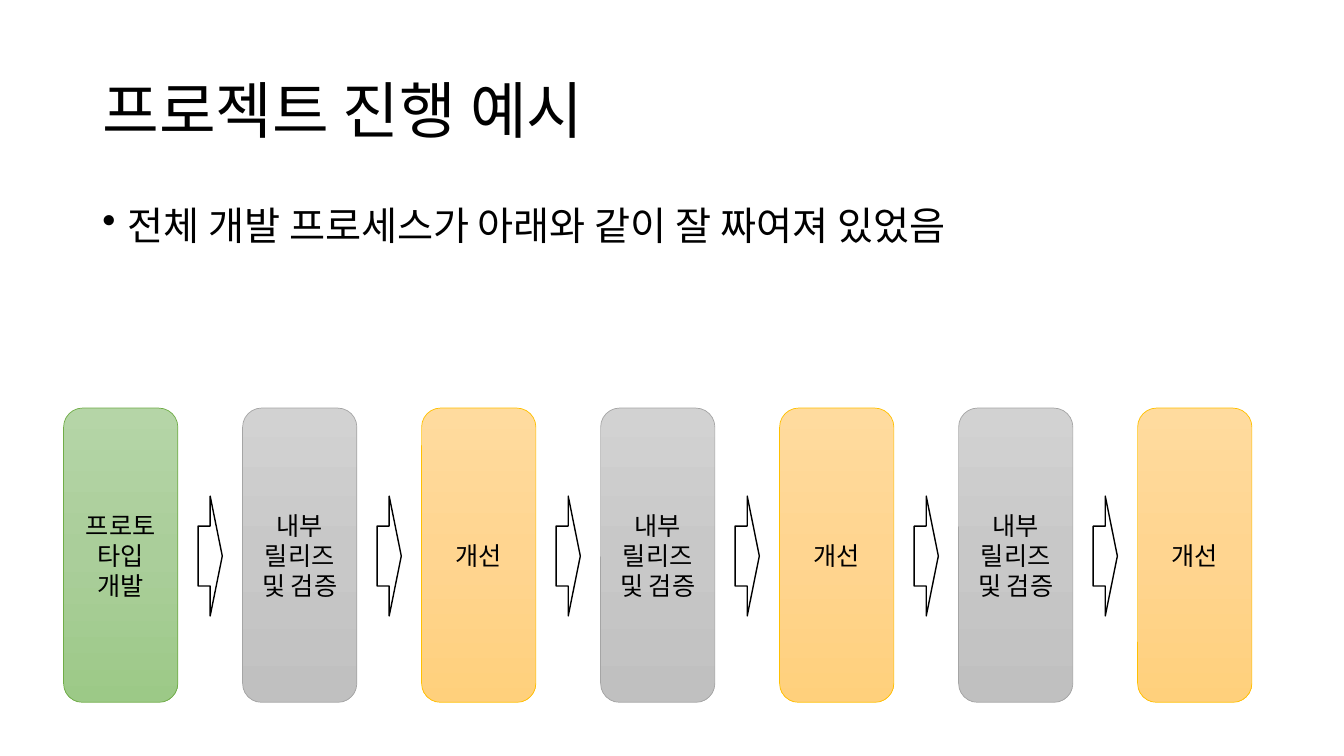
from copy import deepcopy
from dataclasses import dataclass

from lxml import etree
from pptx import Presentation
from pptx.dml.color import RGBColor
from pptx.enum import shapes, text
from pptx.oxml.ns import qn
from pptx.util import Pt


@dataclass(frozen=True)
class Theme:
    font: str = "Noto Sans CJK KR"
    ink: str = "000000"
    paper: str = "FFFFFF"
    # Gradient stops from top to bottom, then the outline
    green: tuple = ("B5D5A7", "AACE9A", "9CC987", "70AD47")
    gray: tuple = ("D2D2D2", "C8C8C8", "C0C0C0", "A5A5A5")
    amber: tuple = ("FFDB9E", "FFD590", "FFD07C", "FFC000")
    title_size: int = 44
    body_size: int = 28
    step_size: int = 18


class ProcessSlide:
    def __init__(self, slide, theme):
        self.slide = slide
        self.theme = theme

    def set_text(self, shape, words, size, align, anchor, line_spacing=1.0):
        frame = shape.text_frame
        frame.text = words
        frame.word_wrap = True
        frame.auto_size = text.MSO_AUTO_SIZE.NONE
        frame.vertical_anchor = anchor
        paragraph = frame.paragraphs[0]
        paragraph.alignment = align
        paragraph.line_spacing = line_spacing
        font = paragraph.font
        font.size = Pt(size)
        font.color.rgb = RGBColor.from_string(self.theme.ink)
        font.name = self.theme.font
        # Hangul takes the East Asian typeface
        defaults = paragraph._p.pPr.find(qn("a:defRPr"))
        etree.SubElement(defaults, qn("a:ea"), typeface=self.theme.font)
        return paragraph

    def title(self, words, left, top, width, height):
        title = self.slide.shapes.title
        title.left, title.top = Pt(left), Pt(top)
        title.width, title.height = Pt(width), Pt(height)
        self.set_text(title, words, self.theme.title_size, text.PP_ALIGN.LEFT,
                      text.MSO_ANCHOR.MIDDLE, 0.9)

    def bullet(self, words, left, top, width, height):
        body = self.slide.shapes.add_textbox(Pt(left), Pt(top), Pt(width), Pt(height))
        paragraph = self.set_text(body, words, self.theme.body_size, text.PP_ALIGN.LEFT,
                                  text.MSO_ANCHOR.TOP, 0.9)
        paragraph.space_before = Pt(10)
        properties = paragraph._p.pPr
        properties.set("marL", str(Pt(18)))
        properties.set("indent", str(-Pt(18)))
        mark = etree.Element(qn("a:buChar"), char="•")
        properties.find(qn("a:defRPr")).addprevious(mark)

    def outlined(self, kind, left, top, width, height, color, weight):
        shape = self.slide.shapes.add_shape(kind, Pt(left), Pt(top), Pt(width), Pt(height))
        shape.shadow.inherit = False
        shape.line.color.rgb = RGBColor.from_string(color)
        shape.line.width = Pt(weight)
        return shape

    def step(self, words, colors, left, top, width, height):
        *gradient, outline = colors
        step = self.outlined(shapes.MSO_SHAPE.ROUNDED_RECTANGLE,
                             left, top, width, height, outline, 0.5)
        step.fill.gradient()
        step.fill.gradient_angle = 270
        # The default gradient has two stops; add the third
        stop_list = step._element.spPr.find(".//" + qn("a:gsLst"))
        stop_list.append(deepcopy(stop_list[0]))
        for stop, color, position in zip(step.fill.gradient_stops, gradient, (0, 0.5, 1)):
            stop.color.rgb = RGBColor.from_string(color)
            stop.position = position
        self.set_text(step, words, self.theme.step_size, text.PP_ALIGN.CENTER,
                      text.MSO_ANCHOR.MIDDLE)

    def arrow(self, left, top, width, height):
        arrow = self.outlined(shapes.MSO_SHAPE.RIGHT_ARROW,
                              left, top, width, height, self.theme.ink, 1)
        arrow.fill.solid()
        arrow.fill.fore_color.rgb = RGBColor.from_string(self.theme.paper)


def main():
    deck = Presentation()
    deck.slide_width, deck.slide_height = Pt(960), Pt(540)
    theme = Theme()
    page = ProcessSlide(deck.slides.add_slide(deck.slide_layouts[5]), theme)

    # Heading and statement
    page.title("프로젝트 진행 예시", 66, 28.75, 828, 104.4)
    page.bullet("전체 개발 프로세스가 아래와 같이 잘 짜여져 있었음", 66, 143.75, 828, 342.6)

    # Prototype, then three rounds of release and improvement
    rounds = [("내부 릴리즈 및 검증", theme.gray), ("개선", theme.amber)] * 3
    steps = [("프로토타입 개발", theme.green)] + rounds
    first_left, pitch = 45.4, 127.87
    for index, (words, colors) in enumerate(steps):
        page.step(words, colors, first_left + index * pitch, 291.5, 81.6, 210.2)

    # Arrows between the steps
    for index in range(len(steps) - 1):
        page.arrow(first_left + 96.1 + index * pitch, 354.4, 17.3, 85.6)

    deck.save("out.pptx")


if __name__ == "__main__":
    main()
